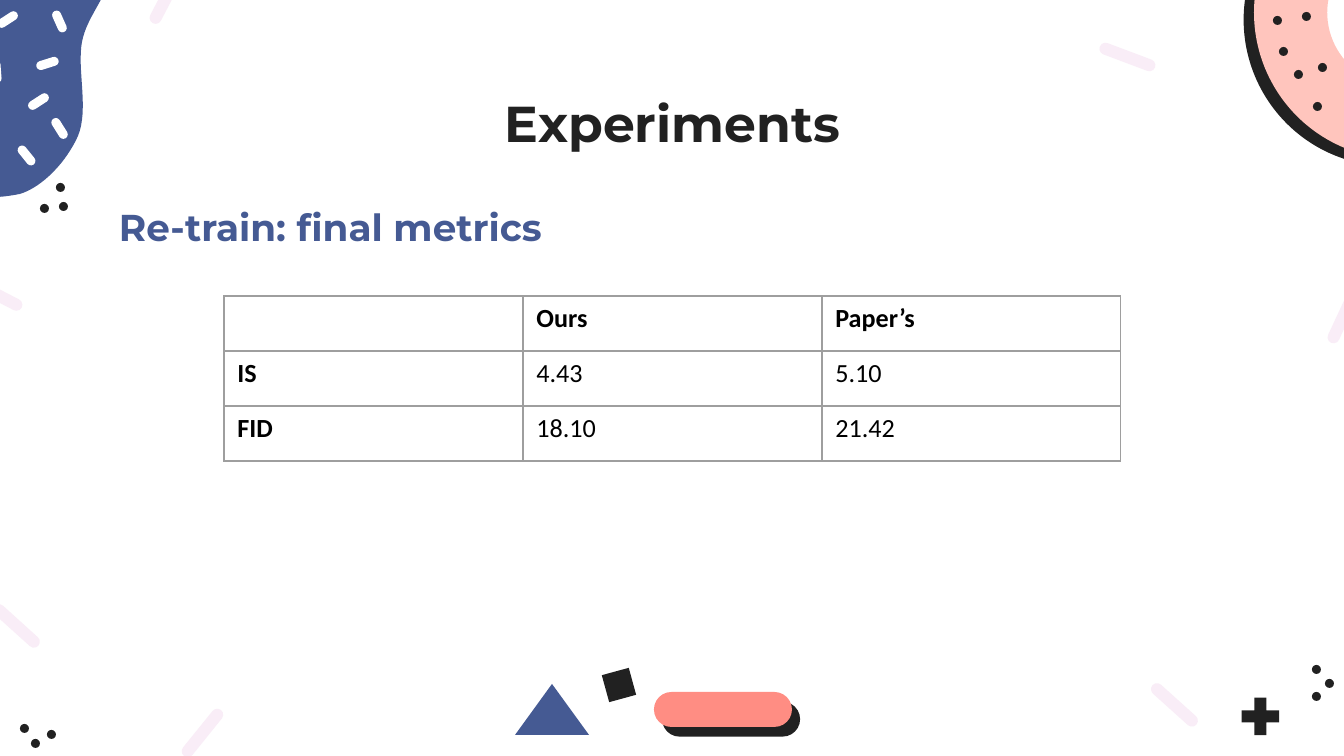
import lxml.etree
import pptx
import pptx.dml.color
import pptx.enum.shapes
import pptx.enum.text
import pptx.oxml.ns
import pptx.util

SCALE = 914400 / 134.4
COLORS = {
    "ink": "212121", "blue": "455A93", "coral": "FF8D83", "pink": "FFC5BD",
    "blush": "F9EDF7", "white": "FFFFFF", "black": "000000", "grid": "9E9E9E",
}
SHAPES = pptx.enum.shapes.MSO_SHAPE
ANCHORS = pptx.enum.text.MSO_ANCHOR
ALIGNMENTS = pptx.enum.text.PP_ALIGN
INSET = 13


def px(length):
    """Turn px into EMU."""
    return pptx.util.Emu(round(length * SCALE))


def rgb(name):
    """Return a named colour."""
    return pptx.dml.color.RGBColor.from_string(COLORS[name])


def add_child(parent, tag, **attributes):
    """Append a DrawingML element."""
    element = lxml.etree.SubElement(parent, pptx.oxml.ns.qn(tag))
    for name, value in attributes.items():
        element.set(name, str(value))
    return element


def paint(shape, color):
    """Give a shape a flat fill without line or shadow."""
    shape.fill.solid()
    shape.fill.fore_color.rgb = rgb(color)
    shape.line.fill.background()
    shape.shadow.inherit = False


def add_figure(slide, kind, box, color, rotation=0, adjustment=None):
    """Add a flat preset shape."""
    shape = slide.shapes.add_shape(kind, *map(px, box))
    paint(shape, color)
    shape.rotation = rotation
    if adjustment is not None:
        shape.adjustments[0] = adjustment
    return shape


def add_hard_shadow(shape, angle):
    """Add an unblurred dark shadow in the given direction."""
    effects = shape._element.spPr.find(pptx.oxml.ns.qn("a:effectLst"))
    shadow = add_child(effects, "a:outerShdw", blurRad=0, dist=pptx.util.Pt(6.8),
                       dir=angle * 60000, algn="bl", rotWithShape=0)
    add_child(shadow, "a:srgbClr", val=COLORS["ink"])


def add_dots(slide, left, top, offsets):
    """Add small dark dots relative to a corner."""
    for x, y in offsets:
        add_figure(slide, SHAPES.OVAL, (left + x, top + y, 9, 9), "ink")


def add_sprinkles(slide, left, top, size, color, sprinkles):
    """Add rotated pills of one size relative to a corner."""
    for x, y, rotation in sprinkles:
        add_figure(slide, SHAPES.ROUNDED_RECTANGLE, (left + x, top + y, *size),
                   color, rotation, 0.5)


def add_bottom_shapes(slide, left, top):
    """Add the pill, triangle and square at the bottom centre."""
    pill = add_figure(slide, SHAPES.ROUNDED_RECTANGLE,
                      (left + 139, top + 22, 138, 35), "coral", 0, 0.5)
    add_hard_shadow(pill, 50)
    add_figure(slide, SHAPES.ISOSCELES_TRIANGLE, (left, top + 14, 74, 51), "blue")
    add_figure(slide, SHAPES.RECTANGLE, (left + 90, top + 1, 28, 28), "ink", 164.7)


def add_doughnut(slide, left, top):
    """Add the dotted ring at the top right."""
    ring = add_figure(slide, SHAPES.DONUT, (left, top, 293, 293), "pink", 0, 0.25)
    add_hard_shadow(ring, 145)
    add_dots(slide, left, top, [(59, 236), (64, 197), (25, 181),
                                (48, 146), (19, 150), (40, 204)])


def curve_points(start, curves, steps=16):
    """Return points along joined cubic curves."""
    points = []
    for first, second, end in curves:
        for step in range(1, steps + 1):
            t = step / steps
            weights = ((1 - t) ** 3, 3 * t * (1 - t) ** 2, 3 * t * t * (1 - t), t ** 3)
            corners = (start, first, second, end)
            points.append(tuple(
                px(sum(weight * corner[axis] for weight, corner in zip(weights, corners)))
                for axis in (0, 1)))
        start = end
    return points


def add_icing(slide, left, top):
    """Add the blue icing with its white sprinkles at the top left."""
    start = (5, 246)
    points = curve_points(start, [
        ((18, 278), (66, 274), (90, 269)), ((113, 262), (137, 236), (148, 211)),
        ((159, 185), (147, 144), (152, 117)), ((157, 91), (178, 71), (179, 52)),
        ((180, 35), (183, 17), (163, 10)), ((143, 4), (83, 0), (59, 10)),
        ((34, 21), (26, 36), (16, 75)), ((8, 114), (-7, 213), start),
    ])
    points = [(x + px(left), y + px(top)) for x, y in points]
    builder = slide.shapes.build_freeform(*points[-1])
    builder.add_line_segments(points[:-1], close=True)
    paint(builder.convert_to_shape(), "blue")
    add_sprinkles(slide, left, top, (23, 9), "white", [
        (85, 226, 51.1), (97, 172, 147.1), (55, 142, 85.6), (106, 134, 342.6),
        (66, 90, 147.1), (118, 92, 245.9), (118, 199, 57.9)])


def add_background(slide):
    """Add every decoration around the content."""
    add_bottom_shapes(slide, 515, 670)
    add_figure(slide, SHAPES.MATH_PLUS, (1235, 691, 51, 51), "ink", 0, 0.235)
    add_sprinkles(slide, 0, 0, (59, 12), "blush", [
        (173, 727, 308.9), (1145, 699, 42), (1314, 310, 115), (-34, 288, 27.3),
        (137, -9, 297.6), (1098, 51, 20.6), (-13, 620, 42.1)])
    add_doughnut(slide, 1254, -134)
    add_icing(slide, -70, -75)
    add_dots(slide, 1312, 665, [(0, 27), (0, 0), (13, 14)])
    add_dots(slide, 20, 724, [(0, 0), (27, 6), (11, 15)])
    add_dots(slide, 40, 183, [(0, 21), (16, 0), (19, 19)])


def add_run(paragraph, text, font, size, color, bold):
    """Add one formatted run."""
    run = paragraph.add_run()
    run.text = text
    run.font.name = font
    run.font.size = pptx.util.Pt(size)
    run.font.bold = bold
    run.font.color.rgb = rgb(color)


def fill_heading(shape, box, text, size, color, alignment, anchor):
    """Place a heading and write its text."""
    shape.left, shape.top, shape.width, shape.height = map(px, box)
    frame = shape.text_frame
    frame.word_wrap = True
    frame.auto_size = pptx.enum.text.MSO_AUTO_SIZE.NONE
    frame.vertical_anchor = anchor
    frame.margin_left = frame.margin_right = px(INSET)
    frame.margin_top = frame.margin_bottom = px(INSET)
    paragraph = frame.paragraphs[0]
    paragraph.alignment = alignment
    paragraph.line_spacing = 1.15
    add_run(paragraph, text, "Montserrat", size, color, True)


def format_cell(cell, text, bold):
    """Write a cell and draw its borders."""
    cell.fill.background()
    properties = cell._tc.get_or_add_tcPr()
    for index, side in enumerate(("a:lnL", "a:lnR", "a:lnT", "a:lnB")):
        line = add_child(properties, side, w=pptx.util.Pt(0.75))
        add_child(add_child(line, "a:solidFill"), "a:srgbClr", val=COLORS["grid"])
        properties.insert(index, line)
    if text:
        add_run(cell.text_frame.paragraphs[0], text, "Calibri", 14, "black", bold)


def add_metrics_table(slide, left, top, column_width, row_height):
    """Add the table of final metrics."""
    rows = [("", "Ours", "Paper’s"), ("IS", "4.43", "5.10"), ("FID", "18.10", "21.42")]
    table = slide.shapes.add_table(
        len(rows), len(rows[0]), px(left), px(top),
        px(column_width * len(rows[0])), px(row_height * len(rows))).table
    table.first_row = table.horz_banding = False
    for row_index, row in enumerate(rows):
        for column_index, text in enumerate(row):
            format_cell(table.cell(row_index, column_index), text,
                        row_index == 0 or column_index == 0)


def main():
    """Build and save the slide."""
    presentation = pptx.Presentation()
    presentation.slide_width, presentation.slide_height = px(1344), px(756)
    slide = presentation.slides.add_slide(presentation.slide_layouts[5])
    add_background(slide)
    fill_heading(slide.shapes.title, (106, 70, 1133, 84), "Experiments", 27, "ink",
                 ALIGNMENTS.CENTER, ANCHORS.TOP)
    subtitle_box = (106, 171, 716, 91)
    subtitle = slide.shapes.add_textbox(*map(px, subtitle_box))
    fill_heading(subtitle, subtitle_box, "Re-train: final metrics", 20, "blue",
                 ALIGNMENTS.LEFT, ANCHORS.BOTTOM)
    add_metrics_table(slide, 224, 296, 299, 55)
    presentation.save("out.pptx")


if __name__ == "__main__":
    main()
